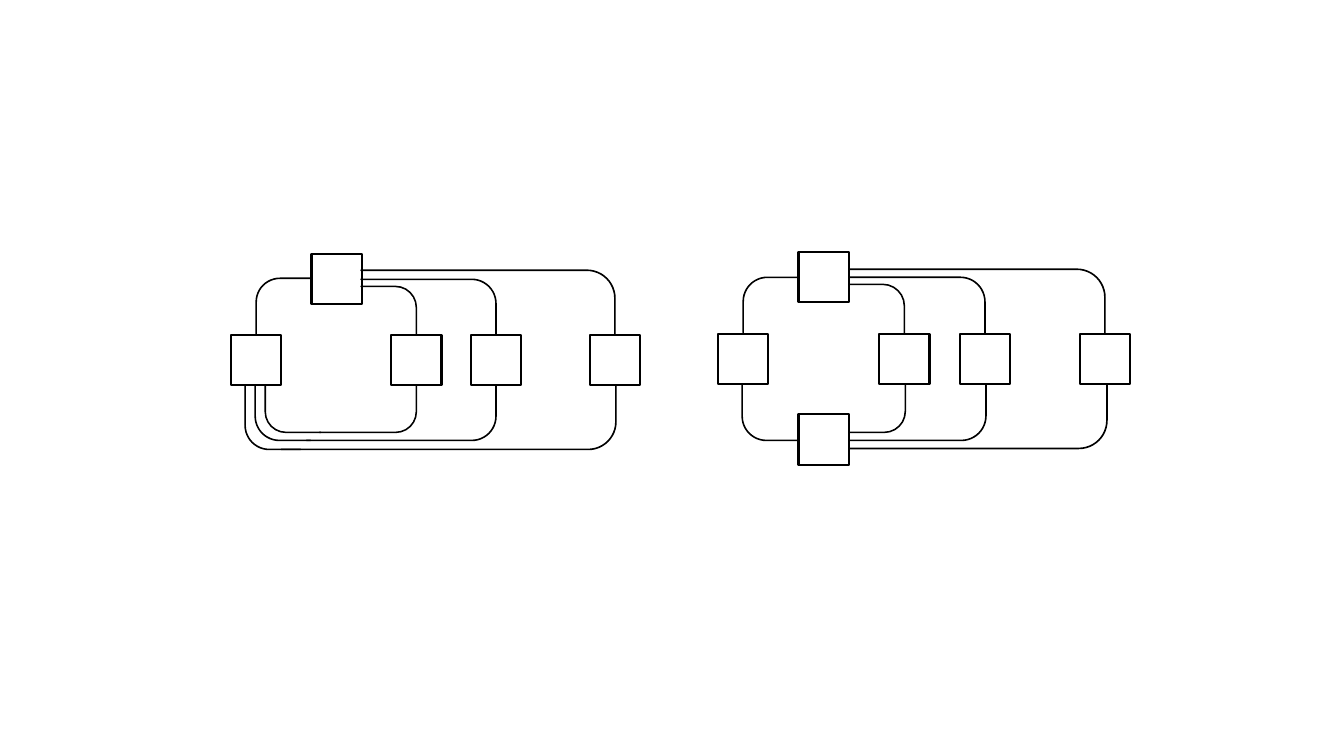
from dataclasses import dataclass

from pptx import Presentation
from pptx.dml.color import RGBColor
from pptx.enum.shapes import MSO_SHAPE
from pptx.shapes.autoshape import Shape
from pptx.slide import Slide
from pptx.util import Emu, Pt

RECT = MSO_SHAPE.RECTANGLE
BENT_ARROW = MSO_SHAPE.BENT_ARROW
PX = 9144
BOX = 50
COLORS = {"ink": "000000", "paper": "FFFFFF"}
WIRE_ADJUSTMENTS = (0.006, 0.002, 0, 0.4375)
TOP_LEFT, TOP_RIGHT, BOTTOM_RIGHT, BOTTOM_LEFT = 0, 90, 180, 270


@dataclass(frozen=True)
class Node:
    left: int
    top: int
    filled: bool = False


@dataclass(frozen=True)
class Wire:
    corner: int
    left: int
    top: int
    width: int
    height: int


@dataclass(frozen=True)
class Network:
    nodes: list[Node]
    wires: list[Wire]


def px(value: float) -> Emu:
    """Turn px into EMU."""
    return Emu(round(value * PX))


def row(top: int, *lefts: int) -> list[Node]:
    """List the nodes that stand at one height."""
    return [Node(left, top) for left in lefts]


def fan_down(left: int, bottom: int, *sizes: tuple[int, int]) -> list[Wire]:
    """List wires that leave a node rightwards and turn down to one level."""
    return [Wire(TOP_RIGHT, left, bottom - h, w, h) for w, h in sizes]


def add_outlined(s: Slide, kind: MSO_SHAPE, left: float, top: float,
                 width: int, height: int, line: float) -> Shape:
    """Add a flat shape with a black outline."""
    sp = s.shapes.add_shape(kind, px(left), px(top), px(width), px(height))
    sp.shadow.inherit = False
    sp.line.color.rgb = RGBColor.from_string(COLORS["ink"])
    sp.line.width = Pt(line)
    return sp


def add_node(s: Slide, node: Node) -> None:
    """Draw a square node."""
    sp = add_outlined(s, RECT, node.left, node.top, BOX, BOX, 1.5)
    if node.filled:
        sp.fill.solid()
        sp.fill.fore_color.rgb = RGBColor.from_string(COLORS["paper"])
    else:
        sp.fill.background()


def add_wire(s: Slide, wire: Wire) -> None:
    """Draw a rounded wire inside its visible bounds."""
    w, h = wire.width, wire.height
    left, top = wire.left, wire.top
    if wire.corner in (TOP_RIGHT, BOTTOM_LEFT):
        left, top = left + (w - h) / 2, top + (h - w) / 2
        w, h = h, w
    sp = add_outlined(s, BENT_ARROW, left, top, w, h, 1)
    sp.rotation = wire.corner
    sp.fill.solid()
    sp.fill.fore_color.rgb = RGBColor.from_string(COLORS["ink"])
    for i, value in enumerate(WIRE_ADJUSTMENTS):
        sp.adjustments[i] = value


NETWORKS = [
    Network(
        [Node(792, 250), *row(331, 712, 872, 952, 1071),
         Node(792, 411, filled=True)],
        [*fan_down(842, 331, (254, 64), (135, 56), (55, 49)),
         Wire(TOP_LEFT, 737, 275, 55, 55),
         Wire(BOTTOM_LEFT, 736, 381, 55, 56),
         *(Wire(BOTTOM_RIGHT, 843, 381, w, h)
           for w, h in ((55, 48), (135, 56), (255, 64)))],
    ),
    Network(
        [Node(309, 252), *row(332, 229, 388, 467, 585)],
        [Wire(TOP_LEFT, 254, 276, 54, 55),
         *fan_down(358, 332, (252, 64), (134, 55), (55, 48)),
         *(Wire(BOTTOM_LEFT, left, 382, 55, h)
           for left, h in ((263, 47), (253, 55), (243, 64))),
         Wire(BOTTOM_RIGHT, 317, 382, 96, 47),
         Wire(BOTTOM_RIGHT, 304, 382, 188, 55),
         Wire(BOTTOM_RIGHT, 279, 383, 332, 63)],
    ),
]


def main() -> None:
    """Build the slide with both networks."""
    prs = Presentation()
    prs.slide_width, prs.slide_height = px(1333), px(750)
    s = prs.slides.add_slide(prs.slide_layouts[6])
    for network in NETWORKS:
        for node in network.nodes:
            add_node(s, node)
        for wire in network.wires:
            add_wire(s, wire)
    prs.save("out.pptx")


if __name__ == "__main__":
    main()
